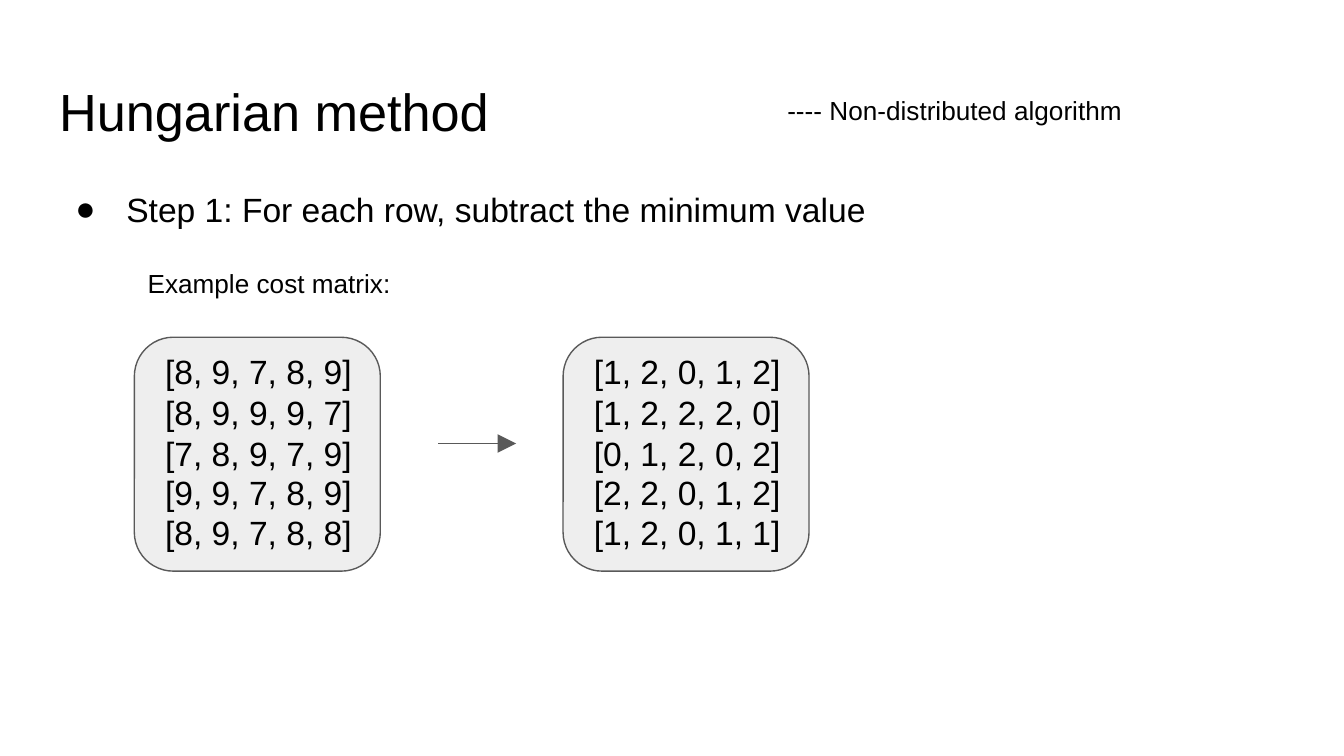
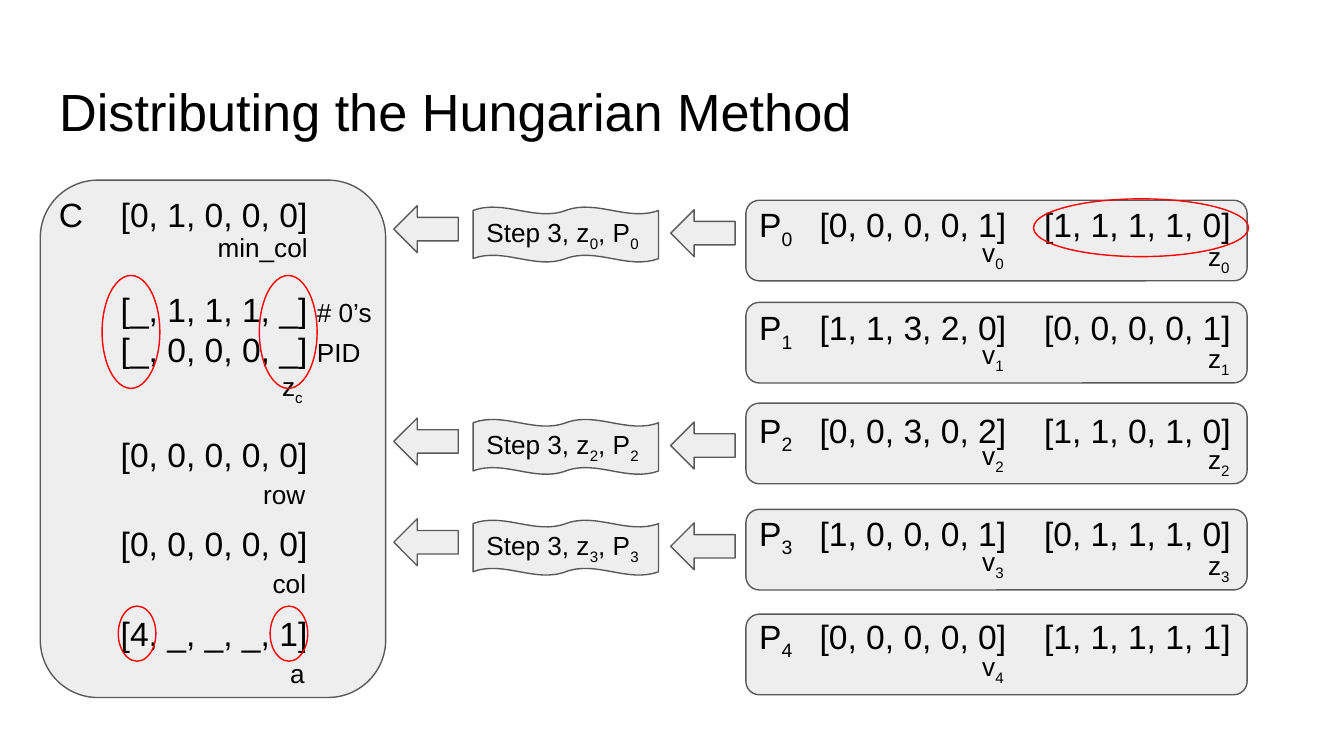
from dataclasses import dataclass
from typing import NamedTuple, Optional

from lxml import etree
from pptx import Presentation
from pptx.dml.color import RGBColor
from pptx.enum.shapes import MSO_CONNECTOR, MSO_SHAPE
from pptx.enum.text import MSO_ANCHOR, MSO_AUTO_SIZE, PP_ALIGN
from pptx.oxml.ns import qn
from pptx.util import Inches, Pt

ROUND = MSO_SHAPE.ROUNDED_RECTANGLE
WAVE = MSO_SHAPE.DOUBLE_WAVE
ARROW = MSO_SHAPE.LEFT_ARROW
OVAL = MSO_SHAPE.OVAL
STRAIGHT = MSO_CONNECTOR.STRAIGHT
LEFT, TOP = PP_ALIGN.LEFT, MSO_ANCHOR.TOP
FIXED = MSO_AUTO_SIZE.NONE


@dataclass(frozen=True)
class Theme:
    ink: RGBColor = RGBColor(0, 0, 0)
    fill: RGBColor = RGBColor(0xEE, 0xEE, 0xEE)
    edge: RGBColor = RGBColor(0x59, 0x59, 0x59)
    mark: RGBColor = RGBColor(0xFF, 0, 0)
    font: str = "Arial"
    title: int = 28
    main: int = 18
    small: int = 14
    line: float = 0.75


THEME = Theme()


class Box(NamedTuple):
    x: float
    y: float
    w: float
    h: float


class Run(NamedTuple):
    text: str
    size: int = THEME.main
    sub: bool = False


class Grid(NamedTuple):
    x: float
    rows: list[str]


class Proc(NamedTuple):
    y: float
    v: str
    z: str
    tag: bool = True


class Step(NamedTuple):
    y: float
    num: str


class Note(NamedTuple):
    box: Box
    runs: list[Run]


TITLE = Box(0.34, 0.49, 9.32, 0.63)
BODY = Box(0.34, 1.26, 9.32, 3.74)
ROW_H = 0.43

GRIDS = [
    Grid(1, ["[8, 9, 7, 8, 9]", "[8, 9, 9, 9, 7]", "[7, 8, 9, 7, 9]",
             "[9, 9, 7, 8, 9]", "[8, 9, 7, 8, 8]"]),
    Grid(4.19, ["[1, 2, 0, 1, 2]", "[1, 2, 2, 2, 0]", "[0, 1, 2, 0, 2]",
                "[2, 2, 0, 1, 2]", "[1, 2, 0, 1, 1]"]),
]

PROCS = [
    Proc(1.49, "[0, 0, 0, 0, 1]", "[1, 1, 1, 1, 0]"),
    Proc(2.25, "[1, 1, 3, 2, 0]", "[0, 0, 0, 0, 1]"),
    Proc(3, "[0, 0, 3, 0, 2]", "[1, 1, 0, 1, 0]"),
    Proc(3.79, "[1, 0, 0, 0, 1]", "[0, 1, 1, 1, 0]"),
    Proc(4.57, "[0, 0, 0, 0, 0]", "[1, 1, 1, 1, 1]", False),
]

STEPS = [Step(3.87, "3"), Step(1.54, "0"), Step(3.12, "2")]

NOTES = [
    Note(Box(1.52, 1.62, 1.01, ROW_H), [Run("min_col", THEME.small)]),
    Note(Box(2, 2.66, 1.01, ROW_H),
         [Run("z", THEME.small), Run("c", THEME.small, True)]),
    Note(Box(0.8, 3.13, 2.44, ROW_H), [Run("[0, 0, 0, 0, 0]")]),
    Note(Box(1.86, 3.46, 1.01, ROW_H), [Run("row", THEME.small)]),
    Note(Box(0.8, 3.79, 2.44, ROW_H), [Run("[0, 0, 0, 0, 0]")]),
    Note(Box(1.93, 4.12, 0.88, ROW_H), [Run("col", THEME.small)]),
    Note(Box(0.8, 4.46, 2.44, ROW_H), [Run("[4, _, _, _, 1]")]),
    Note(Box(2.06, 4.79, 0.53, ROW_H), [Run("a", THEME.small)]),
]

RINGS = [
    Box(7.69, 1.48, 1.6, 0.43),
    Box(0.76, 2.05, 0.43, 0.84),
    Box(1.93, 2.05, 0.43, 0.84),
    Box(0.88, 4.51, 0.28, 0.41),
    Box(2.01, 4.51, 0.28, 0.41),
]


def place(box: Box) -> tuple:
    return tuple(Inches(side) for side in box)


def style(frame) -> None:
    frame.word_wrap = True
    frame.auto_size = FIXED
    frame.vertical_anchor = TOP
    frame.margin_left = frame.margin_right = Inches(0.1)
    frame.margin_top = frame.margin_bottom = Inches(0.1)


def put_runs(para, runs: list[Run]) -> None:
    para.alignment = LEFT
    for item in runs:
        run = para.add_run()
        run.text = item.text
        run.font.name = THEME.font
        run.font.size = Pt(item.size)
        run.font.color.rgb = THEME.ink
        if item.sub:
            run.font._element.set("baseline", "-25000")


def add_text(slide, box: Box, lines: list[list[Run]],
             tabs: tuple[float, ...] = ()) -> None:
    frame = slide.shapes.add_textbox(*place(box)).text_frame
    style(frame)
    for i, runs in enumerate(lines):
        para = frame.paragraphs[0] if i == 0 else frame.add_paragraph()
        put_runs(para, runs)
        if tabs:
            stops = etree.SubElement(para._p.get_or_add_pPr(), qn("a:tabLst"))
            for pos in tabs:
                etree.SubElement(stops, qn("a:tab"), pos=str(Inches(pos)), algn="l")


def add_form(slide, kind, box: Box, fill: Optional[RGBColor] = THEME.fill,
             edge: RGBColor = THEME.edge) -> None:
    form = slide.shapes.add_shape(kind, *place(box))
    form.shadow.inherit = False
    if fill is None:
        form.fill.background()
    else:
        form.fill.solid()
        form.fill.fore_color.rgb = fill
    form.line.color.rgb = edge
    form.line.width = Pt(THEME.line)


def add_arrow(slide, x: float, end: float, y: float) -> None:
    line = slide.shapes.add_connector(
        STRAIGHT, Inches(x), Inches(y), Inches(end), Inches(y))
    line.line.color.rgb = THEME.edge
    line.line.width = Pt(THEME.line)
    etree.SubElement(line.line._get_or_add_ln(), qn("a:tailEnd"),
                     type="triangle", w="lg", len="lg")
    etree.SubElement(line._element.spPr, qn("a:effectLst"))


def fill_holder(holder, box: Box, run: Run):
    holder.left, holder.top, holder.width, holder.height = place(box)
    style(holder.text_frame)
    para = holder.text_frame.paragraphs[0]
    put_runs(para, [run])
    para.space_before = Pt(0)
    return para


def new_slide(deck, layout: int, title: str):
    slide = deck.slides.add_slide(deck.slide_layouts[layout])
    fill_holder(slide.shapes.title, TITLE, Run(title, THEME.title))
    return slide


def add_bullet(slide, text: str) -> None:
    para = fill_holder(slide.placeholders[1], BODY, Run(text))
    para.line_spacing = 1.15
    para.space_after = Pt(16)
    props = para._p.get_or_add_pPr()
    props.set("marL", str(Inches(0.5)))
    props.set("indent", str(Inches(-0.38)))
    tint = etree.SubElement(props, qn("a:buClr"))
    etree.SubElement(tint, qn("a:srgbClr"), val=str(THEME.ink))
    etree.SubElement(props, qn("a:buFont"), typeface=THEME.font)
    etree.SubElement(props, qn("a:buChar"), char="●")


def add_grid(slide, grid: Grid) -> None:
    top = 2.51
    add_form(slide, ROUND, Box(grid.x, top, 1.83, 1.74))
    for y, rows in ((0, grid.rows[:1]), (0.31, grid.rows[1:3]), (0.9, grid.rows[3:])):
        add_text(slide, Box(grid.x + 0.13, top + y, 2.21, ROW_H),
                 [[Run(row)] for row in rows])


def add_proc(slide, i: int, proc: Proc) -> None:
    num = str(i)
    add_form(slide, ROUND, Box(5.55, proc.y, 3.73, 0.6))
    add_text(slide, Box(5.55, 1.42 + 3.06 * i / 4, 4.2, ROW_H),
             [[Run("P"), Run(num, sub=True), Run(f"\t{proc.v}\t{proc.z}")]],
             (0.45, 2.12))
    tags = [("v", 7.21, 0.17)] + ([("z", 8.89, 0.2)] if proc.tag else [])
    for name, x, drop in tags:
        add_text(slide, Box(x, proc.y + drop, 1.01, ROW_H),
                 [[Run(name, THEME.small), Run(num, THEME.small, True)]])


def add_step(slide, step: Step) -> None:
    add_form(slide, WAVE, Box(3.52, step.y, 1.38, 0.41))
    sub = Run(step.num, THEME.small, True)
    add_text(slide, Box(3.52, step.y - 0.03, 1.45, ROW_H),
             [[Run("Step 3, z", THEME.small), sub, Run(", P", THEME.small), sub]])
    for x, drop in ((2.93, -0.01), (4.99, 0.02)):
        add_form(slide, ARROW, Box(x, step.y + drop, 0.48, 0.35))


def draw_method(deck) -> None:
    slide = new_slide(deck, 1, "Hungarian method")
    add_bullet(slide, "Step 1: For each row, subtract the minimum value")
    add_text(slide, Box(5.76, 0.6, 2.7, 0.51),
             [[Run("---- Non-distributed algorithm", THEME.small)]])
    add_text(slide, Box(1, 1.89, 2.06, ROW_H),
             [[Run("Example cost matrix:", THEME.small)]])
    for grid in GRIDS:
        add_grid(slide, grid)
    add_arrow(slide, 3.26, 3.84, 3.3)


def draw_spread(deck) -> None:
    slide = new_slide(deck, 5, "Distributing the Hungarian Method")
    add_form(slide, ROUND, Box(0.3, 1.34, 2.57, 3.85))
    add_text(slide, Box(0.34, 1.34, 2.44, ROW_H),
             [[Run("C\t[0, 1, 0, 0, 0]")]], (0.46,))
    add_text(slide, Box(0.8, 2.05, 2.21, ROW_H),
             [[Run("[_, 1, 1, 1, _] "), Run("# 0’s", THEME.small)],
              [Run("[_, 0, 0, 0, _] "), Run("PID", THEME.small)]])
    for note in NOTES:
        add_text(slide, note.box, [note.runs])
    for i, proc in enumerate(PROCS):
        add_proc(slide, i, proc)
    for step in STEPS:
        add_step(slide, step)
    for ring in RINGS:
        add_form(slide, OVAL, ring, None, THEME.mark)


def main() -> None:
    deck = Presentation()
    deck.slide_width = Inches(10)
    deck.slide_height = Inches(10) * 9 // 16
    draw_method(deck)
    draw_spread(deck)
    deck.save("out.pptx")


if __name__ == "__main__":
    main()
